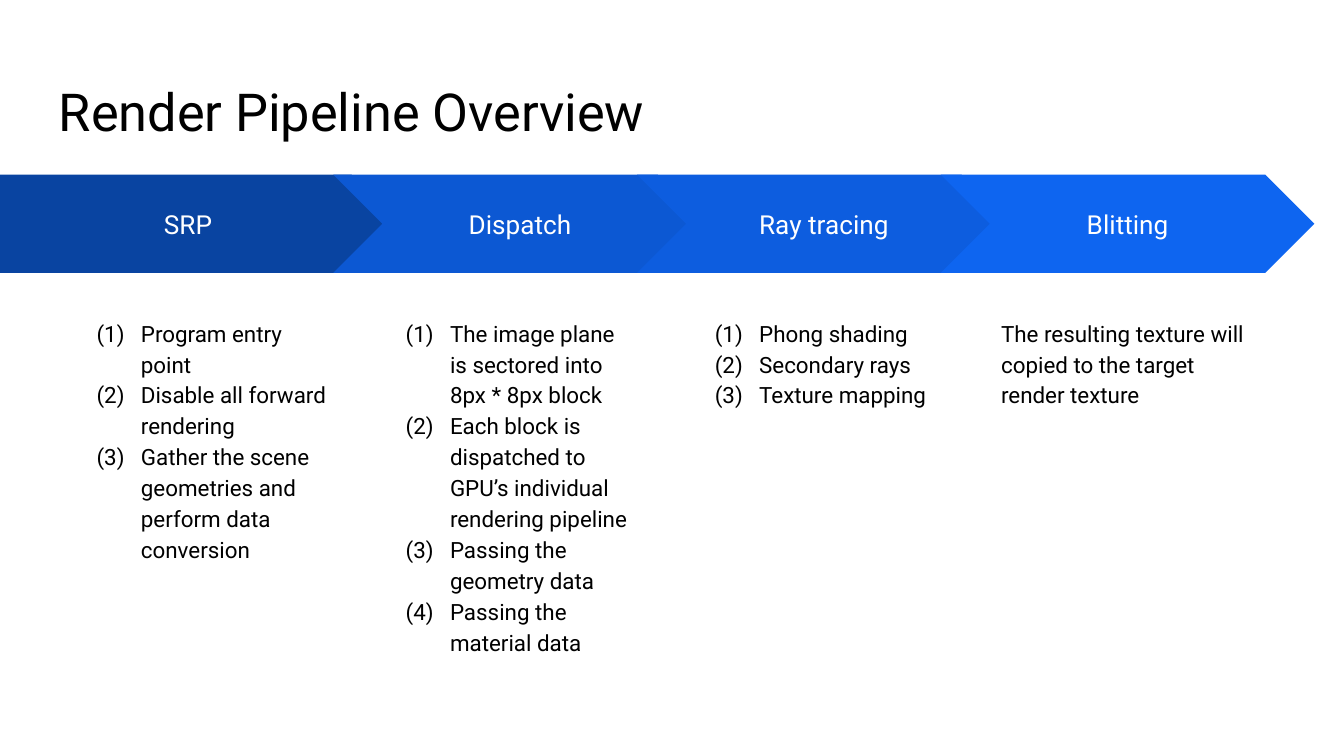
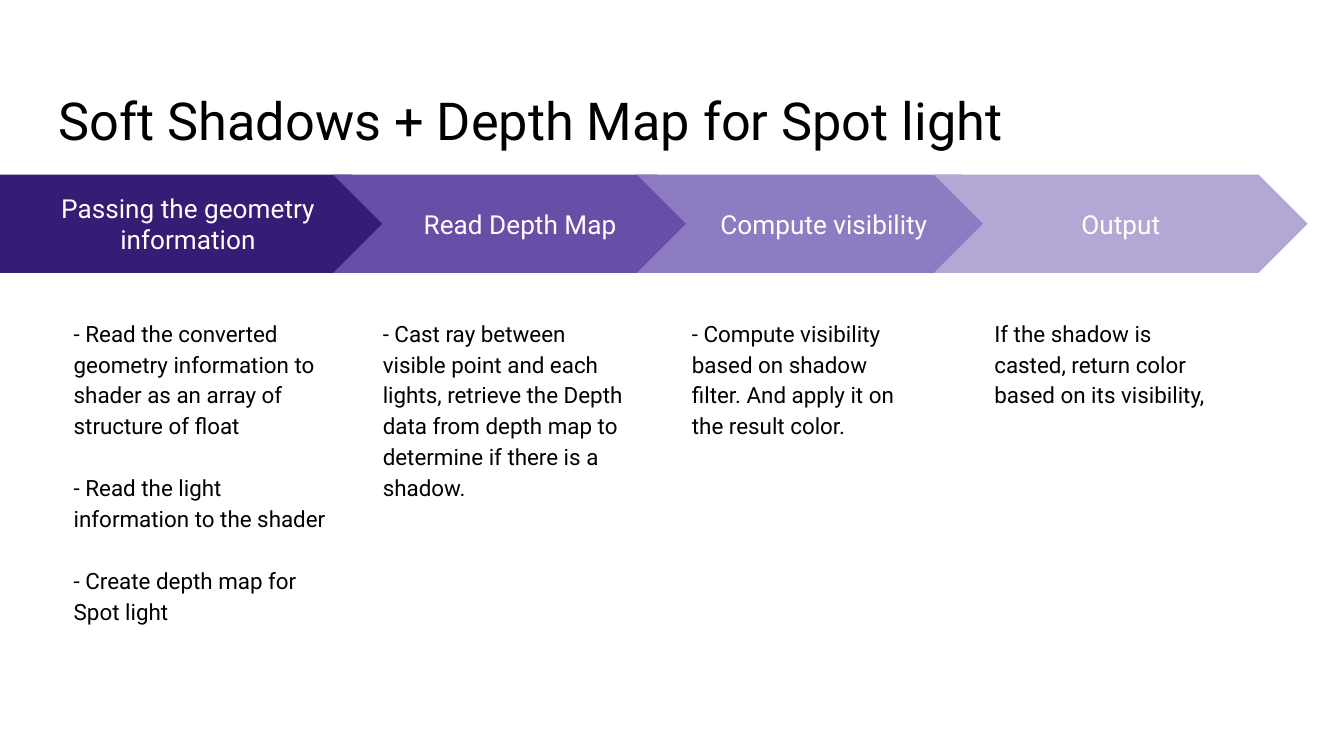
from lxml.etree import SubElement
from pptx import Presentation
from pptx.dml.color import RGBColor
from pptx.enum.shapes import MSO_SHAPE as Shape
from pptx.enum.text import MSO_ANCHOR as Anchor, PP_ALIGN as Align
from pptx.oxml.ns import qn
from pptx.util import Inches, Pt

# Shared look and grid, in inches
FONT, BLACK, WHITE = "Roboto", "000000", "FFFFFF"
MARGIN = 0.1
TITLE_BOX = (0.34, 0.49, 9.32, 0.63)
BAND_TOP, BAND_HEIGHT = 1.3, 0.73
FIRST_WIDTH, CHEVRON_WIDTH = 2.98, 2.78
CHEVRON_LEFT, CHEVRON_STEP = 2.48, 2.26
COLUMN_LEFT, COLUMN_STEP, COLUMN_TOP = 0.45, 2.3, 2.25
COLUMN_WIDTH, COLUMN_HEIGHT, PANEL_HEIGHT = 2.08, 2.86, 2.57

# Each stage: label, band colour, text lines, width of its white panel (None: no panel)
# "numbered" holds the stages with (1) (2) (3) lists; "last_shift" moves the last stage
pipelines = [
    dict(title="Render Pipeline Overview", title_spacing=1.0, last_shift=0,
         numbered=("SRP", "Dispatch", "Ray tracing"), stages=[
             ("SRP", "0944A1", [
                 "Program entry point",
                 "Disable all forward rendering",
                 "Gather the scene geometries and perform data conversion",
             ], None),
             ("Dispatch", "0C58D3", [
                 "The image plane is sectored into 8px * 8px block",
                 "Each block is dispatched to GPU’s individual rendering pipeline",
                 "Passing the geometry data",
                 "Passing the material data",
             ], None),
             ("Ray tracing", "0D5DDF", [
                 "Phong shading", "Secondary rays", "Texture mapping",
             ], None),
             ("Blitting", "0E65F0", [
                 "The resulting texture will copied to the target render texture",
             ], None),
         ]),
    dict(title="Soft Shadows + Depth Map for Spot light", title_spacing=1.15,
         last_shift=-0.05, numbered=(), stages=[
             ("Passing the geometry information", "351C75", [
                 "- Read the converted geometry information to shader "
                 "as an array of structure of float",
                 "- Read the light information to the shader",
                 "- Create depth map for Spot light",
             ], None),
             ("Read Depth Map", "674EA7", [
                 "- Cast ray between visible point and each lights, retrieve the "
                 "Depth data from depth map to determine if there is a shadow.",
             ], 2.06),
             ("Compute visibility", "8E7CC3", [
                 "- Compute visibility based on shadow filter. "
                 "And apply it on the result color.",
             ], 1.89),
             ("Output", "B4A7D6", [
                 "If the shadow is casted, return color based on its visibility,",
             ], 1.88),
         ]),
]


def write(box, lines, size, ink, align=Align.LEFT, anchor=Anchor.TOP,
          spacing=1.0, gap=0, numbered=False):
    frame = box.text_frame
    frame.word_wrap = True
    frame.vertical_anchor = anchor
    frame.margin_left = frame.margin_right = Inches(MARGIN)
    frame.margin_top = frame.margin_bottom = Inches(MARGIN)
    frame.text = "\n".join(lines)
    for row, paragraph in enumerate(frame.paragraphs):
        paragraph.alignment = align
        paragraph.line_spacing = spacing
        if gap and row:
            paragraph.space_before = Pt(gap)
        if numbered:
            properties = paragraph._p.get_or_add_pPr()
            properties.set("marL", str(Inches(0.5)))
            properties.set("indent", str(Inches(-0.33)))
            bullet_color = SubElement(properties, qn("a:buClr"))
            SubElement(bullet_color, qn("a:srgbClr"), val=ink)
            SubElement(properties, qn("a:buAutoNum"), type="arabicParenBoth")
        paragraph.font.name = FONT
        paragraph.font.size = Pt(size)
        paragraph.font.color.rgb = RGBColor.from_string(ink)


def draw(slide, outline, left, top, width, height, fill):
    block = slide.shapes.add_shape(outline, Inches(left), Inches(top),
                                   Inches(width), Inches(height))
    block.shadow.inherit = False
    block.fill.solid()
    block.fill.fore_color.rgb = RGBColor.from_string(fill)
    block.line.fill.background()
    return block


# Widescreen page, 16:9
deck = Presentation()
deck.slide_width = Inches(10)
deck.slide_height = deck.slide_width * 9 // 16

for pipeline in pipelines:
    slide = deck.slides.add_slide(deck.slide_layouts[6])

    # Title
    title = slide.shapes.add_textbox(*map(Inches, TITLE_BOX))
    write(title, [pipeline["title"]], 28, BLACK, spacing=pipeline["title_spacing"])

    last = len(pipeline["stages"]) - 1
    for i, (label, band, lines, panel_width) in enumerate(pipeline["stages"]):
        shift = pipeline["last_shift"] if i == last else 0

        # Arrow band: each chevron covers the end of the one before
        if i == 0:
            outline, left, width = Shape.PENTAGON, 0, FIRST_WIDTH
        else:
            outline, width = Shape.CHEVRON, CHEVRON_WIDTH
            left = CHEVRON_LEFT + (i - 1) * CHEVRON_STEP + shift
        arrow = draw(slide, outline, left, BAND_TOP, width, BAND_HEIGHT, band)
        arrow.adjustments[0] = 0.5
        write(arrow, [label], 14, WHITE, Align.CENTER, Anchor.MIDDLE)

        # Details under the arrow
        left = COLUMN_LEFT + i * COLUMN_STEP + shift
        if panel_width:
            details = draw(slide, Shape.RECTANGLE, left, COLUMN_TOP,
                           panel_width, PANEL_HEIGHT, WHITE)
        else:
            details = slide.shapes.add_textbox(
                Inches(left), Inches(COLUMN_TOP),
                Inches(COLUMN_WIDTH), Inches(COLUMN_HEIGHT))
        numbered = label in pipeline["numbered"]
        write(details, lines, 12, BLACK, spacing=1.15,
              gap=0 if numbered else 16.5, numbered=numbered)

deck.save("out.pptx")
